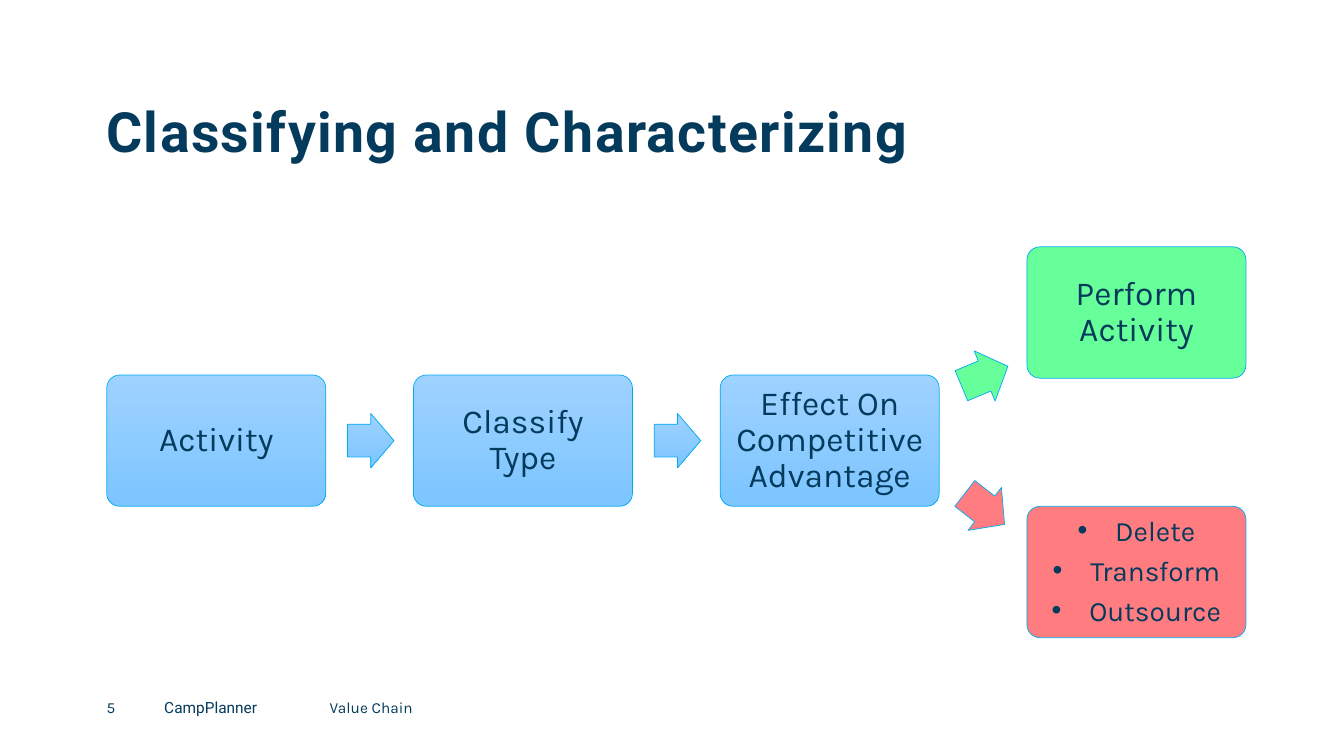
from lxml.etree import SubElement
from pptx import Presentation
from pptx.dml.color import RGBColor
from pptx.enum.shapes import MSO_SHAPE as Preset
from pptx.enum.text import MSO_ANCHOR as Anchor, PP_ALIGN as Align
from pptx.oxml.ns import qn
from pptx.util import Cm, Pt

NAVY = RGBColor(0x04, 0x3A, 0x5B)
OUTLINE = RGBColor(0x00, 0xAB, 0xF3)
SKY_TOP = RGBColor(0x9E, 0xD2, 0xFF)
SKY_BOTTOM = RGBColor(0x7C, 0xC5, 0xFF)
GREEN = RGBColor(0x66, 0xFF, 0x99)
RED = RGBColor(0xFF, 0x7C, 0x80)

BOX_WIDTH, BOX_HEIGHT = 5.52, 3.31
STEP_PITCH = 7.73


def style_paragraph(para, size, name="Karla", bold=False):
    para.font.size = Pt(size)
    para.font.name = name
    para.font.bold = bold
    para.font.color.rgb = NAVY


def clear_margins(frame, margin=0):
    frame.margin_left = frame.margin_right = Cm(margin)
    frame.margin_top = frame.margin_bottom = Cm(margin)


def add_bullet(para):
    properties = para._p.get_or_add_pPr()
    properties.set("marL", str(Cm(0.95)))
    properties.set("indent", str(-Cm(0.95)))
    SubElement(properties, qn("a:buFont")).set("typeface", "Arial")
    SubElement(properties, qn("a:buChar")).set("char", "•")


def add_block(page, preset, left, top, width, height, color=None):
    block = page.shapes.add_shape(preset, Cm(left), Cm(top), Cm(width), Cm(height))
    block.shadow.inherit = False
    block.line.color.rgb = OUTLINE
    block.line.width = Pt(0.5)
    if color is None:
        block.fill.gradient()
        block.fill.gradient_angle = 270
        for stop, shade in zip(block.fill.gradient_stops, (SKY_TOP, SKY_BOTTOM)):
            stop.color.rgb = shade
    else:
        block.fill.solid()
        block.fill.fore_color.rgb = color
    return block


def add_box(page, left, top, lines, color=None, size=24, bulleted=False):
    box = add_block(page, Preset.ROUNDED_RECTANGLE, left, top, BOX_WIDTH, BOX_HEIGHT, color)
    box.adjustments[0] = 0.1
    frame = box.text_frame
    frame.word_wrap = True
    frame.vertical_anchor = Anchor.MIDDLE
    clear_margins(frame, 0.25)
    for index, line in enumerate(lines):
        para = frame.add_paragraph() if index else frame.paragraphs[0]
        para.text = line
        para.alignment = Align.CENTER
        para.line_spacing = 0.9
        para.space_after = Pt(size * 0.35)
        if bulleted:
            add_bullet(para)
        style_paragraph(para, size)


def add_arrow(page, left, top, width, color=None, rotation=0):
    arrow = add_block(page, Preset.RIGHT_ARROW, left, top, width, 1.37, color)
    arrow.adjustments[0] = 0.6
    arrow.adjustments[1] = 0.5
    arrow.rotation = rotation


def add_title(page, left, top, width, height):
    title = page.shapes.title
    title.left, title.top, title.width, title.height = map(Cm, (left, top, width, height))
    frame = title.text_frame
    clear_margins(frame)
    frame.word_wrap = True
    frame.vertical_anchor = Anchor.BOTTOM
    para = frame.paragraphs[0]
    para.alignment = Align.LEFT
    para.line_spacing = 0.9
    span = para.add_run()
    span.text = "Classifying and Characterizing"
    span._r.get_or_add_rPr().set("spc", "100")
    style_paragraph(para, 39.6, "Roboto", True)


def add_steps(page, left, top):
    steps = ("Activity", "Classify Type", "Effect On Competitive Advantage")
    for index, step in enumerate(steps):
        step_left = left + index * STEP_PITCH
        add_box(page, step_left, top, [step])
        if index < len(steps) - 1:
            add_arrow(page, step_left + BOX_WIDTH + 0.55, top + (BOX_HEIGHT - 1.37) / 2, 1.17)


def add_outcomes(page, left, top):
    arrow_left = left - 1.7
    add_arrow(page, arrow_left, top + 2.57, 1.27, GREEN, 337.3)
    add_box(page, left, top, ["Perform Activity"], GREEN)
    add_box(page, left, top + 6.54, ["Delete", "Transform", "Outsource"], RED, 20, True)
    add_arrow(page, arrow_left, top + 5.92, 1.27, RED, 37.9)


def add_footer(page, left, top):
    entries = ((0, 1.45, "5", "Karla"), (1.45, 4.17, "CampPlanner", "Roboto"),
               (5.62, 3.66, "Value Chain", "Karla"))
    for offset, width, text, name in entries:
        label = page.shapes.add_textbox(Cm(left + offset), Cm(top), Cm(width), Cm(0.69))
        frame = label.text_frame
        frame.word_wrap = True
        clear_margins(frame)
        frame.text = text
        style_paragraph(frame.paragraphs[0], 11, name)


def main():
    deck = Presentation()
    deck.slide_width, deck.slide_height = Cm(33.87), Cm(19.05)
    page = deck.slides.add_slide(deck.slide_layouts[5])
    add_title(page, 2.68, 2.44, 21.26, 1.7)
    add_steps(page, 2.69, 9.45)
    add_outcomes(page, 2.69 + 3 * STEP_PITCH, 6.22)
    add_footer(page, 2.69, 17.58)
    deck.save("out.pptx")


if __name__ == "__main__":
    main()
